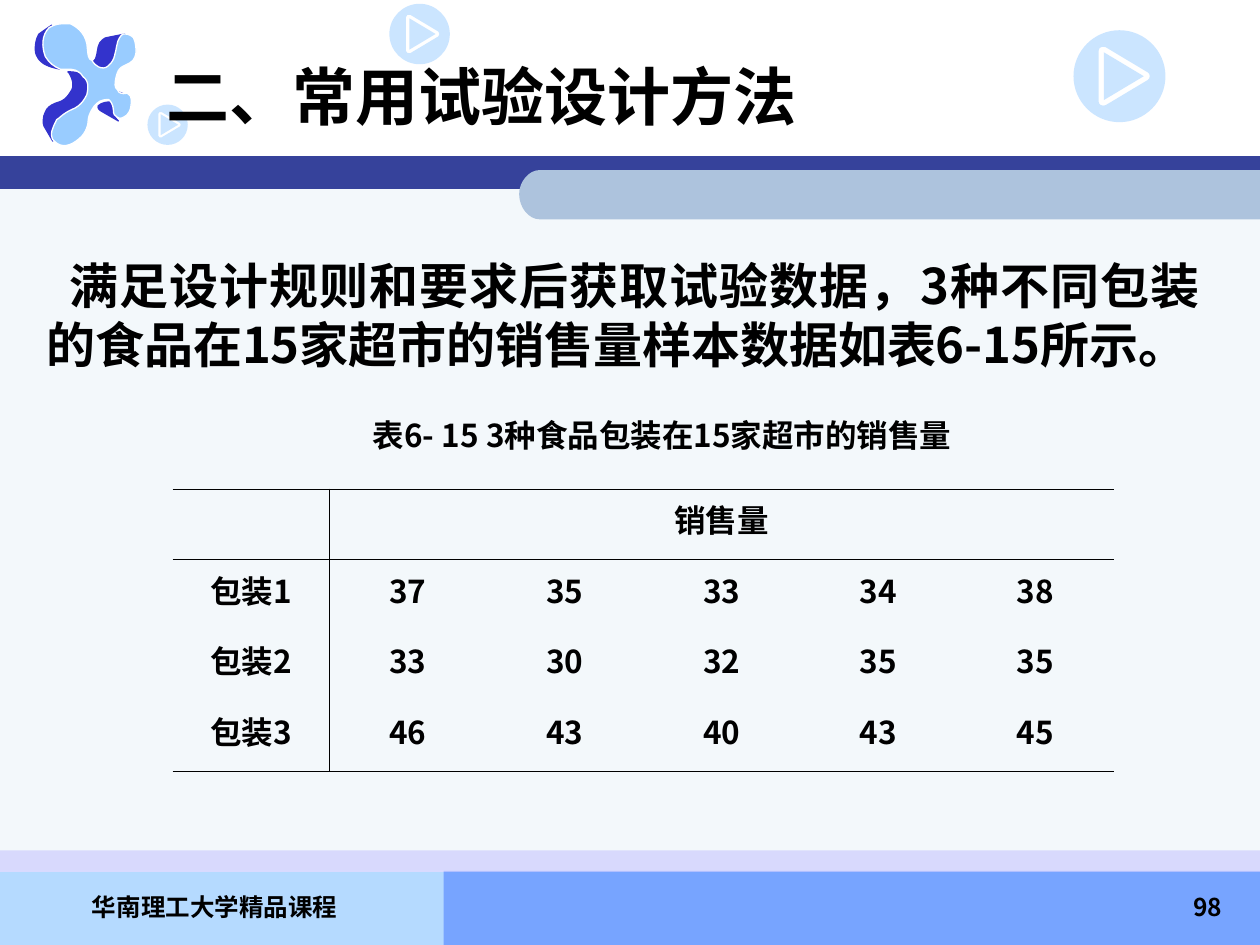
import math

import pptx
import pptx.dml.color
import pptx.enum.shapes
import pptx.enum.text
import pptx.oxml
import pptx.oxml.ns
import pptx.util

Inches = pptx.util.Inches
Pt = pptx.util.Pt
ALIGN = pptx.enum.text.PP_ALIGN
ANCHOR = pptx.enum.text.MSO_ANCHOR
NAMESPACE = pptx.oxml.ns.nsdecls("a")

THEME = {
    "font": "Noto Sans CJK SC", "footer_font": "Noto Sans CJK KR",
    "text": "000000", "background": "FFFFFF", "panel": "F3F8FB",
    "band": "36429B", "tab": "ADC3DD", "strip": "CCCCFF",
    "footer_left": "B5DAFF", "footer_right": "77A4FF",
    "splash": "99CCFF", "splash_shade": "3333CC", "button": "99CCFF",
    "title_size": 36, "body_size": 28, "table_size": 18, "footer_size": 14,
    "rule": 0.45,
}

TITLE = "二、常用试验设计方法"
BODY = "满足设计规则和要求后获取试验数据，3种不同包装的食品在15家超市的销售量样本数据如表6-15所示。"
CAPTION = "表6- 15 3种食品包装在15家超市的销售量"
FOOTER = "华南理工大学精品课程"
PAGE = "98"
TABLE_HEADER = "销售量"
TABLE_ROWS = [
    ("包装1", 37, 35, 33, 34, 38),
    ("包装2", 33, 30, 32, 35, 35),
    ("包装3", 46, 43, 40, 43, 45),
]

# Outlines: a start point, then lines (x, y) or Bezier curves (x1, y1, x2, y2, x, y).
TAB_OUTLINE = [(10, 1.35), (4.28, 1.35), (4.2, 1.35, 4.12, 1.44, 4.12, 1.54),
               (4.12, 1.65, 4.2, 1.74, 4.28, 1.74), (10, 1.74)]
SPLASH_SHADES = [
    [(0.37, 0.45), (0.33, 0.37, 0.34, 0.28, 0.4, 0.21), (0.41, 0.2), (0.31, 0.27),
     (0.31, 0.27, 0.28, 0.31, 0.28, 0.39), (0.28, 0.46, 0.33, 0.49, 0.34, 0.5),
     (0.35, 0.51, 0.41, 0.54, 0.49, 0.55), (0.44, 0.53, 0.4, 0.51, 0.37, 0.45)],
    [(0.46, 0.98), (0.47, 0.98, 0.51, 0.93, 0.58, 0.9), (0.65, 0.87, 0.69, 0.79, 0.7, 0.77),
     (0.7, 0.76, 0.73, 0.67, 0.67, 0.62), (0.63, 0.57, 0.59, 0.57, 0.54, 0.57),
     (0.54, 0.57, 0.56, 0.59, 0.56, 0.6), (0.57, 0.62, 0.6, 0.68, 0.56, 0.73),
     (0.53, 0.78, 0.5, 0.8, 0.47, 0.81), (0.43, 0.82, 0.39, 0.84, 0.37, 0.87),
     (0.36, 0.89, 0.33, 0.94, 0.35, 1), (0.42, 1.12), (0.41, 1.06, 0.46, 0.99, 0.46, 0.98)],
    [(0.91, 0.89), (0.91, 0.85, 0.88, 0.81, 0.87, 0.81), (0.86, 0.81, 0.81, 0.81, 0.78, 0.84),
     (0.78, 0.84, 0.77, 0.86, 0.8, 0.88), (0.94, 0.96), (0.92, 0.95, 0.91, 0.93, 0.91, 0.89)],
    [(0.96, 0.76), (0.98, 0.77, 1, 0.76, 1.02, 0.76), (0.94, 0.73),
     (0.95, 0.75, 0.96, 0.76, 0.96, 0.76)],
    [(0.83, 0.55), (0.88, 0.55, 0.92, 0.46, 0.92, 0.44), (0.93, 0.42, 0.93, 0.39, 0.94, 0.35),
     (0.94, 0.32, 0.96, 0.27, 0.99, 0.27), (0.84, 0.3), (0.84, 0.3, 0.79, 0.32, 0.78, 0.37),
     (0.77, 0.41, 0.77, 0.47, 0.74, 0.49), (0.74, 0.49, 0.76, 0.55, 0.83, 0.55)],
]
SPLASH_BODY = [
    (1.03, 0.5), (1.07, 0.48, 1.08, 0.43, 1.08, 0.41), (1.08, 0.4, 1.08, 0.34, 1.06, 0.3),
    (1.03, 0.27, 1, 0.27, 0.98, 0.27), (0.96, 0.27, 0.93, 0.33, 0.93, 0.35),
    (0.92, 0.39, 0.92, 0.41, 0.91, 0.44), (0.91, 0.46, 0.87, 0.54, 0.82, 0.54),
    (0.76, 0.54, 0.73, 0.48, 0.73, 0.48), (0.7, 0.47, 0.7, 0.45, 0.69, 0.35),
    (0.67, 0.25, 0.6, 0.21, 0.56, 0.19), (0.54, 0.19, 0.46, 0.18, 0.41, 0.21),
    (0.39, 0.22), (0.33, 0.28, 0.33, 0.37, 0.36, 0.45), (0.39, 0.5, 0.43, 0.53, 0.48, 0.55),
    (0.53, 0.55), (0.58, 0.55, 0.62, 0.55, 0.66, 0.61), (0.72, 0.65, 0.69, 0.74, 0.69, 0.75),
    (0.68, 0.77, 0.65, 0.84, 0.57, 0.87), (0.5, 0.9, 0.46, 0.95, 0.45, 0.95),
    (0.45, 0.96, 0.4, 1.03, 0.41, 1.08), (0.41, 1.1, 0.42, 1.11, 0.43, 1.12),
    (0.49, 1.18, 0.56, 1.16, 0.63, 1.1), (0.69, 1.05, 0.7, 0.98, 0.7, 0.96),
    (0.7, 0.95, 0.7, 0.91, 0.75, 0.84), (0.77, 0.82), (0.8, 0.79, 0.85, 0.79, 0.86, 0.79),
    (0.87, 0.79, 0.9, 0.83, 0.9, 0.87), (0.9, 0.91, 0.91, 0.92, 0.93, 0.93), (0.95, 0.94),
    (0.97, 0.94, 1.03, 0.92, 1.04, 0.84), (1.05, 0.76, 1.03, 0.75, 1.01, 0.74),
    (0.99, 0.74, 0.97, 0.75, 0.96, 0.74), (0.95, 0.74, 0.94, 0.73, 0.93, 0.71),
    (0.91, 0.7, 0.91, 0.66, 0.92, 0.62), (0.94, 0.52, 0.98, 0.53, 1.03, 0.5),
]

# Play buttons: left, top, diameter; their outlines are in units of the radius.
BUTTONS = [(3.09, 0.03, 0.48), (8.52, 0.24, 0.73), (1.17, 0.83, 0.32)]
ARC = 0.55
CIRCLE = [(1, 0), (1, ARC, ARC, 1, 0, 1), (-ARC, 1, -1, ARC, -1, 0),
          (-1, -ARC, -ARC, -1, 0, -1), (ARC, -1, 1, -ARC, 1, 0)]
TRIANGLE_OUTER = [(-0.45, -0.56), (-0.45, -0.62, -0.38, -0.66, -0.3, -0.63), (0.62, -0.08),
                  (0.67, -0.05, 0.67, 0.05, 0.62, 0.08), (-0.3, 0.63),
                  (-0.38, 0.66, -0.45, 0.62, -0.45, 0.56)]
TRIANGLE_INNER = [(-0.34, -0.52), (0.53, 0), (-0.34, 0.52)]


def rgb(color):
    return pptx.dml.color.RGBColor.from_string(THEME[color])


def paint(shape, color, opacity=100, line_color=None):
    shape.shadow.inherit = False
    shape.fill.solid()
    shape.fill.fore_color.rgb = rgb(color)
    if opacity < 100:
        color_node = next(shape._element.spPr.iter(pptx.oxml.ns.qn("a:srgbClr")))
        color_node.append(pptx.oxml.parse_xml(f'<a:alpha {NAMESPACE} val="{opacity * 1000}"/>'))
    if line_color:
        shape.line.color.rgb = rgb(line_color)
        shape.line.width = Pt(0)
    else:
        shape.line.fill.background()


def add_bar(slide, color, left, top, width, height, opacity=100):
    box = map(Inches, (left, top, width, height))
    paint(slide.shapes.add_shape(pptx.enum.shapes.MSO_SHAPE.RECTANGLE, *box), color, opacity)


def add_outline(shapes, color, outlines, **style):
    """Draw all points as a polygon, then join the control points of each curve."""
    builder = None
    for outline in outlines:
        start, *points = [tuple(map(Inches, segment[i:i + 2]))
                          for segment in outline for i in range(0, len(segment), 2)]
        if builder is None:
            builder = shapes.build_freeform(*start)
        else:
            builder.move_to(*start)
        builder.add_line_segments(points, close=True)
    shape = builder.convert_to_shape()
    lines = iter(list(shape._element.spPr.iter(pptx.oxml.ns.qn("a:lnTo"))))
    for segment in [segment for outline in outlines for segment in outline[1:]]:
        line = next(lines)
        if len(segment) == 6:
            curve = pptx.oxml.parse_xml(f"<a:cubicBezTo {NAMESPACE}/>")
            line.addprevious(curve)
            for part in (line, next(lines), next(lines)):
                curve.append(part[0])
                part.getparent().remove(part)
    paint(shape, color, **style)


def write(text_frame, text, size, align, font="font"):
    text_frame.text = text
    text_frame.word_wrap = True
    paragraph = text_frame.paragraphs[0]
    paragraph.alignment = align
    run = paragraph.runs[0]
    run.font.name = THEME[font]
    run.font.size = Pt(THEME[size])
    run.font.bold = True
    run.font.color.rgb = rgb("text")
    run.font._element.append(pptx.oxml.parse_xml(f'<a:ea {NAMESPACE} typeface="{THEME[font]}"/>'))
    return paragraph


def add_text(slide, box, text, size, align, anchor=ANCHOR.TOP, font="font"):
    text_frame = slide.shapes.add_textbox(*map(Inches, box)).text_frame
    text_frame.vertical_anchor = anchor
    return write(text_frame, text, size, align, font)


def set_borders(cell, sides):
    """Rule the given sides (from L, R, T, B) and leave the others bare."""
    properties = cell._tc.get_or_add_tcPr()
    solid = f'<a:solidFill><a:srgbClr val="{THEME["text"]}"/></a:solidFill>'
    for side in "LRTB":
        properties.append(pptx.oxml.parse_xml(
            f'<a:ln{side} {NAMESPACE} w="{Pt(THEME["rule"])}">'
            f'{solid if side in sides else "<a:noFill/>"}</a:ln{side}>'))
    cell.fill.background()


def add_sales_table(slide):
    rows = [("", TABLE_HEADER, "", "", "", "")] + TABLE_ROWS
    box = map(Inches, (1.37, 3.88, 7.47, 2.24))
    table = slide.shapes.add_table(len(rows), len(rows[0]), *box).table
    table.first_row = table.horz_banding = False
    table.cell(0, 1).merge(table.cell(0, 5))
    for r, values in enumerate(rows):
        for c, value in enumerate(values):
            cell = table.cell(r, c)
            cell.margin_left = cell.margin_right = Inches(0.08)
            cell.vertical_anchor = ANCHOR.MIDDLE
            if value != "":
                write(cell.text_frame, str(value), "table_size", ALIGN.CENTER).line_spacing = Pt(20)
            sides = "R" if c == 0 else "L" if c == 1 else ""
            sides += "T" if r < 2 else ""
            sides += "B" if r in (0, len(rows) - 1) else ""
            set_borders(cell, sides)


def add_button(slide, left, top, diameter):
    radius = diameter / 2
    origin = (left + radius, top + radius)
    outlines = [[tuple(origin[i % 2] + radius * value for i, value in enumerate(segment))
                 for segment in outline]
                for outline in (CIRCLE, TRIANGLE_OUTER, TRIANGLE_INNER)]
    add_outline(slide.shapes, "button", outlines, opacity=50)


def main():
    presentation = pptx.Presentation()
    presentation.slide_width, presentation.slide_height = Inches(10), Inches(7.5)
    slide = presentation.slides.add_slide(presentation.slide_layouts[6])
    slide.background.fill.solid()
    slide.background.fill.fore_color.rgb = rgb("background")

    add_bar(slide, "footer_left", 0, 6.92, 4.25, 0.58)
    add_bar(slide, "footer_right", 3.52, 6.91, 6.48, 0.59)
    add_bar(slide, "panel", 0, 1.4, 10, 5.51)
    add_bar(slide, "band", 0, 1.24, 10, 0.26)
    add_outline(slide.shapes, "tab", [TAB_OUTLINE])
    splash = slide.shapes.add_group_shape()
    for shade in SPLASH_SHADES:
        add_outline(splash.shapes, "splash_shade", [shade], line_color="splash_shade")
    add_outline(splash.shapes, "splash", [SPLASH_BODY], line_color="background")
    for button in BUTTONS:
        add_button(slide, *button)
    add_bar(slide, "strip", 0, 6.75, 10, 0.17, opacity=69)

    add_text(slide, (0.12, 7.03, 3.17, 0.47), FOOTER, "footer_size", ALIGN.CENTER, font="footer_font")
    add_text(slide, (7.72, 7.03, 2.08, 0.47), PAGE, "footer_size", ALIGN.RIGHT)
    add_text(slide, (1.22, 0.17, 8.5, 1.17), TITLE, "title_size", ALIGN.LEFT, ANCHOR.MIDDLE)
    body = add_text(slide, (0.27, 1.98, 9.35, 1.04), BODY, "body_size", ALIGN.JUSTIFY)
    body_properties = body._p.get_or_add_pPr()
    body_properties.set("indent", str(Inches(0.18)))
    body_properties.set("hangingPunct", "0")
    add_sales_table(slide)
    add_text(slide, (2.82, 3.25, 4.87, 0.4), CAPTION, "table_size", ALIGN.CENTER, ANCHOR.MIDDLE)
    presentation.save("out.pptx")


if __name__ == "__main__":
    main()
